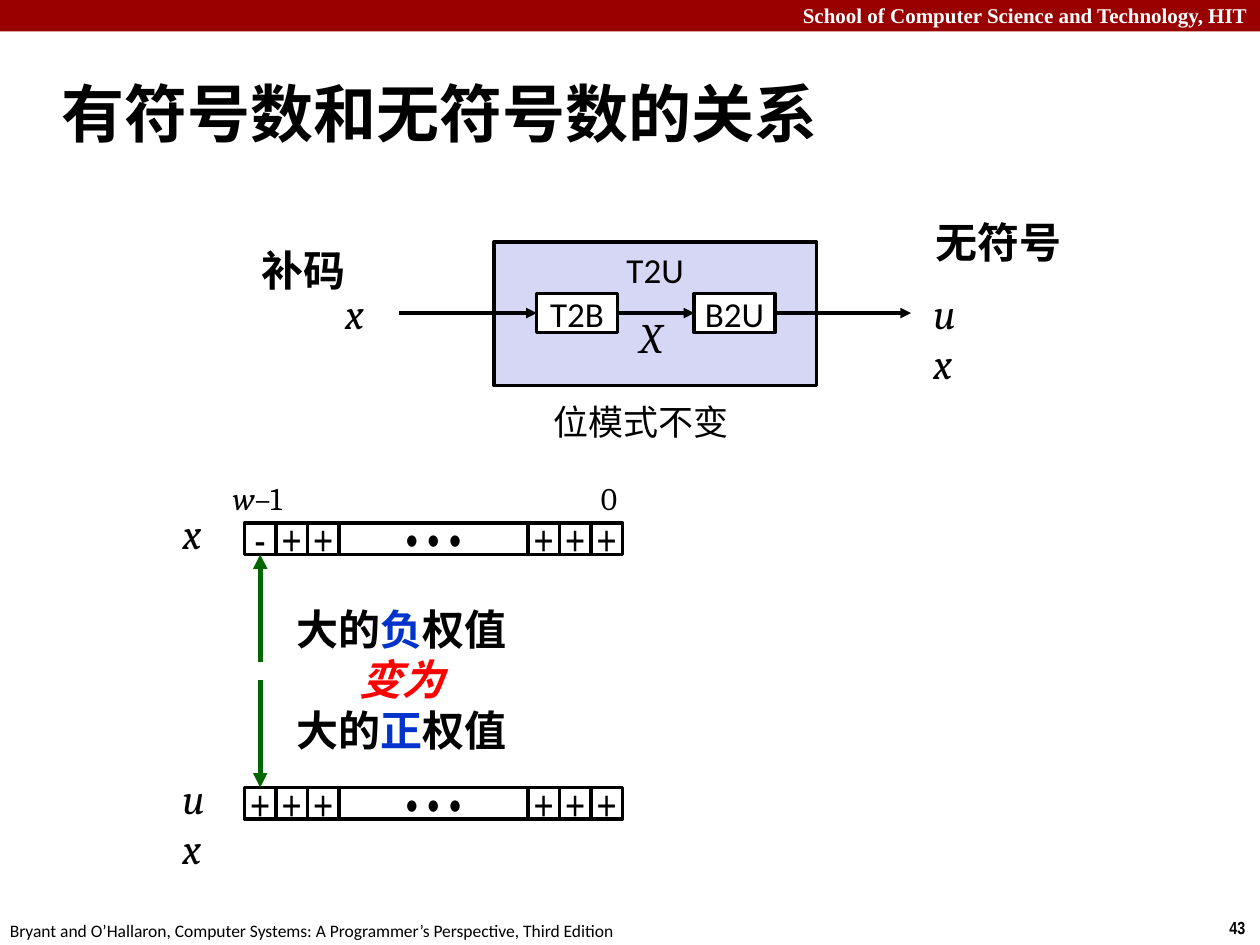
from pptx import Presentation
from pptx.dml.color import RGBColor
from pptx.enum.shapes import MSO_CONNECTOR, MSO_SHAPE
from pptx.enum.text import MSO_ANCHOR, MSO_AUTO_SIZE, PP_ALIGN
from pptx.oxml.ns import qn
from pptx.util import Inches, Pt
from lxml.etree import SubElement

# Grid of 40 columns and 30 rows on a 10 by 7.5 inch slide
UNIT = 0.25
BLACK, WHITE, RED, BLUE, GREEN = "000000", "FFFFFF", "990000", "0033CC", "006600"
LEFT, MID, RIGHT = PP_ALIGN.LEFT, PP_ALIGN.CENTER, PP_ALIGN.RIGHT


def color(code):
    return RGBColor.from_string(code)


def grid(*cells):
    return [Inches(cell * UNIT) for cell in cells]


class Deck:
    font = "Calibri"

    def __init__(self):
        self.file = Presentation()
        self.file.slide_width, self.file.slide_height = grid(40, 30)
        self.slide = self.file.slides.add_slide(self.file.slide_layouts[5])
        self.shapes = self.slide.shapes

    def style(self, run, size, font=None, ink=BLACK, bold=False, ital=False):
        face = run.font
        face.name, face.size = font or self.font, Pt(size)
        face.bold, face.italic = bold, ital
        face.color.rgb = color(ink)

    def put(self, frame, text, align=LEFT, **look):
        frame.text = text
        for para in frame.paragraphs:
            para.alignment = align
            for run in para.runs:
                self.style(run, **look)

    def title(self, at, text, **look):
        head = self.shapes.title
        head.left, head.top, head.width, head.height = grid(*at)
        frame = head.text_frame
        frame.word_wrap = True
        frame.vertical_anchor = MSO_ANCHOR.MIDDLE
        self.put(frame, text, bold=True, **look)
        prop = frame.paragraphs[0]._p.get_or_add_pPr()
        prop.set("marL", str(Inches(0.13)))
        prop.set("indent", str(-Inches(0.13)))

    def label(self, at, text, wrap=False, **look):
        frame = self.shapes.add_textbox(*grid(*at)).text_frame
        frame.word_wrap = wrap
        frame.auto_size = MSO_AUTO_SIZE.SHAPE_TO_FIT_TEXT
        self.put(frame, text, **look)
        return frame

    def mixed(self, at, lines, wrap=False, align=LEFT, **look):
        frame = self.label(at, "", wrap)
        for num, line in enumerate(lines):
            para = frame.add_paragraph() if num else frame.paragraphs[0]
            para.alignment = align
            for text, extra in line:
                run = para.add_run()
                run.text = text
                self.style(run, **{**look, **extra})

    def box(self, at, text="", fill=WHITE, edge=BLACK, anchor=MSO_ANCHOR.MIDDLE, **look):
        box = self.shapes.add_shape(MSO_SHAPE.RECTANGLE, *grid(*at))
        box.shadow.inherit = False
        box.fill.solid()
        box.fill.fore_color.rgb = color(fill)
        if edge:
            box.line.color.rgb, box.line.width = color(edge), Pt(2)
        else:
            box.line.fill.background()
        if text:
            frame = box.text_frame
            frame.word_wrap = False
            frame.vertical_anchor = anchor
            self.put(frame, text, align=MID, **look)
        return box

    def arrow(self, start, end, ink=BLACK, width=2, tail=None, head=None):
        """Tail and head are (box, side) pairs to join."""
        line = self.shapes.add_connector(MSO_CONNECTOR.STRAIGHT, *grid(*start, *end))
        if tail:
            line.begin_connect(*tail)
        if head:
            line.end_connect(*head)
        line.line.color.rgb, line.line.width = color(ink), Pt(width)
        SubElement(line.line._get_or_add_ln(), qn("a:tailEnd"), type="triangle")
        SubElement(line._element.spPr, qn("a:effectLst"))

    def bits(self, col, row, sign):
        """A word of bits: three cells, a wide gap, three cells."""
        cells, left = [], col
        for text, span in [(sign, 1), ("+", 1), ("+", 1), ("• • •", 6)] + [("+", 1)] * 3:
            cells.append(self.box((left, row, span, 1), text, size=24, font="Arial Narrow"))
            left += span
        return cells[0]


def main():
    deck = Deck()
    math = dict(size=24, font="Cambria", ital=True)
    bold = dict(size=24, bold=True)

    # Banner and footer
    deck.box((0, 0, 40, 1), fill=RED, edge=None)
    deck.label((0, -0.12, 40, 1.2), "School of Computer Science and Technology, HIT", True,
               align=RIGHT, size=12, font="Times New Roman", ink=WHITE, bold=True)
    deck.label((38.64, 28.92, 1.36, 1.08), "43", size=10, font="Arial Narrow", bold=True)
    deck.label((-0.08, 29, 20.32, 1.08), "Bryant and O’Hallaron, Computer Systems: "
               "A Programmer’s Perspective, Third Edition", size=10)

    deck.title((1.56, 1.92, 38.44, 3.32), "有符号数和无符号数的关系", size=36)

    # Conversion from signed to unsigned
    deck.box((15.68, 7.68, 10.24, 4.56), "T2U", "D6D6F5", anchor=MSO_ANCHOR.TOP, size=20)
    first, last = [deck.box((col, 9.32, 2.56, 1.24), text, size=20)
                   for col, text in ((17.04, "T2B"), (22.04, "B2U"))]
    mid = 9.94
    deck.arrow((12.68, mid), (17.04, mid), head=(first, 1))
    deck.arrow((19.6, mid), (22.04, mid), tail=(first, 3), head=(last, 1))
    deck.arrow((24.6, mid), (28.92, mid), tail=(last, 3))
    deck.label((7.92, 7.56, 3.48, 2), "补码", **bold)
    deck.label((29.32, 6.68, 4.84, 2), "无符号", **bold)
    deck.label((17.16, 12.52, 6.4, 1.72), "位模式不变", align=MID, size=20)
    deck.label((10.56, 8.92, 1.4, 2), "x", **math)
    deck.label((29.24, 8.92, 2.08, 2), "ux", True, **math)
    deck.label((19.92, 9.68, 1.6, 2), "X", **math)

    # Bit weights of both words
    upper = deck.bits(7.76, 16.6, "-")
    lower = deck.bits(7.76, 25, "+")
    deck.label((5.4, 15.92, 1.24, 1.6), "x", **math)
    deck.label((5.4, 24.32, 1.76, 1.6), "ux", True, **math)
    deck.mixed((7, 15, 2.48, 1.6), [[("w", {"ital": True}), ("–1", {})]],
               size=18, font="Cambria")
    deck.label((18.68, 15, 1.32, 1.6), "0", size=18, font="Cambria")

    # The sign weight flips
    axis = 8.26
    deck.arrow((axis, 21), (axis, 17.6), GREEN, 2.75, head=(upper, 2))
    deck.arrow((axis, 21.6), (axis, 25), GREEN, 2.75, head=(lower, 0))
    deck.mixed((8.76, 18.96, 8, 5.24), [
        [("大的", {}), ("负", {"ink": BLUE}), ("权值", {})],
        [("变为", {"ink": "FF0000", "ital": True})],
        [("大的", {}), ("正", {"ink": BLUE}), ("权值", {})],
    ], True, align=MID, **bold)

    deck.file.save("out.pptx")


if __name__ == "__main__":
    main()
